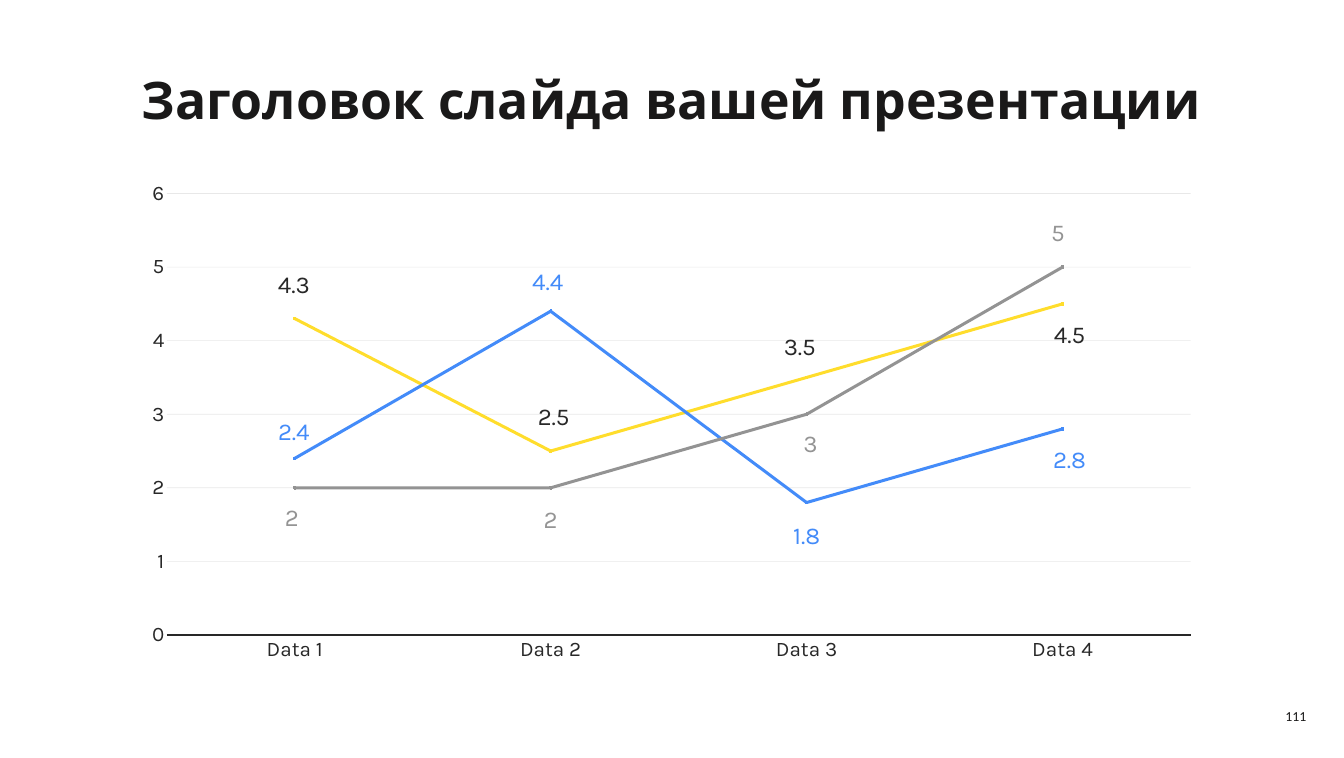
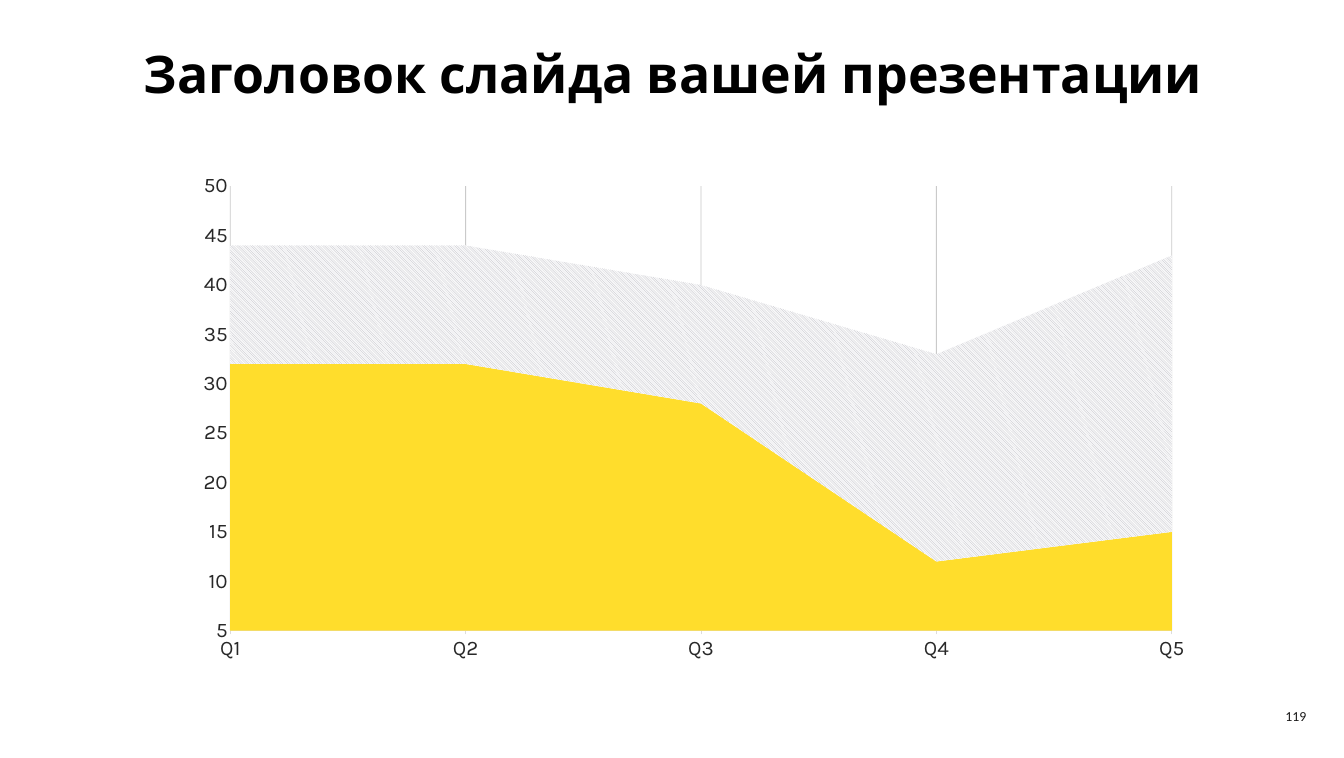
"""Two chart slides with a shared title style and page number."""
from lxml.etree import SubElement
from pptx import Presentation
from pptx.chart.data import CategoryChartData
from pptx.dml.color import RGBColor
from pptx.enum.chart import XL_CHART_TYPE, XL_LABEL_POSITION, XL_MARKER_STYLE, XL_TICK_MARK
from pptx.enum.dml import MSO_PATTERN
from pptx.enum.text import MSO_ANCHOR, MSO_AUTO_SIZE, PP_ALIGN
from pptx.oxml import parse_xml
from pptx.oxml.ns import nsdecls, qn
from pptx.util import Pt

COLORS = {
    "title": "1A1919", "black": "000000", "text": "282828", "yellow": "FFDD2C",
    "blue": "438BF9", "gray": "939393", "gray_label": "949494", "grid": "262626",
    "column_grid": "9B9B9B", "axis": "DDDCDC", "hatch": "B4B4BC", "white": "FFFFFF",
}
TITLE = "Заголовок слайда вашей презентации"
TITLE_FONT = {"name": "Karla", "size": Pt(60), "bold": True}
NUMBER_FONT = {"name": "Calibri", "size": Pt(16), "bold": False}
AXIS_FONT = {"name": "Karla", "size": Pt(24), "bold": False}
LABEL_FONT = {"name": "Karla", "size": Pt(28), "bold": False}
LINE_PLACE = (152, 199.5, 1255.5, 579)
AREA_PLACE = (212.5, 190, 1186, 587)
LINES = [
    ("Series 1", (4.3, 2.5, 3.5, 4.5), "yellow", "text",
     [(-1, -18), (3.5, -18), (-8, -14.5), (8, 15.5)]),
    ("Series 2", (2.4, 4.4, 1.8, 2.8), "blue", "blue",
     [(-1, -10), (-3.5, -13.5), (0, 19), (8, 15.5)]),
    ("Series 3", (2, 2, 3, 5), "gray", "gray_label",
     [(-3.5, 15.5), (0, 17), (4.5, 14.5), (-5.5, -18)]),
]
AREAS = [("Series 1", (32, 32, 28, 12, 15)), ("Series 2", (12, 12, 12, 21, 28))]


def rgb(color):
    return RGBColor.from_string(COLORS[color])


def apply_format(target, values):
    for name, value in values.items():
        setattr(target, name, value)


def format_font(font, values, color):
    apply_format(font, values)
    font.color.rgb = rgb(color)


def format_line(line, color, width):
    line.color.rgb = rgb(color)
    line.width = Pt(width)


def add_text(page, text, place, font, color, align, frame_format):
    box = page.shapes.add_textbox(*map(Pt, place))
    frame = box.text_frame
    frame.word_wrap = True
    apply_format(frame, frame_format)
    para = frame.paragraphs[0]
    para.alignment = align
    span = para.add_run()
    span.text = text
    format_font(span.font, font, color)


def add_title(page, place, color):
    add_text(page, TITLE, place, TITLE_FONT, color, PP_ALIGN.CENTER,
             {"auto_size": MSO_AUTO_SIZE.SHAPE_TO_FIT_TEXT})


def add_number(page, number):
    add_text(page, number, (1438.5, 813, 84, 34), NUMBER_FONT, "title", PP_ALIGN.RIGHT,
             {"vertical_anchor": MSO_ANCHOR.MIDDLE})


def make_layout(values):
    parts = "".join(f'<c:{name} val="{value}"/>' for name, value in values.items())
    return parse_xml(f'<c:layout {nsdecls("c")}><c:manualLayout>{parts}'
                     '</c:manualLayout></c:layout>')


def place_plot(chart, x, y, w, h):
    area = chart.element.xpath(".//c:plotArea")[0]
    for layout in area.findall(qn("c:layout")):
        area.remove(layout)
    area.insert(0, make_layout({"layoutTarget": "inner", "xMode": "edge", "yMode": "edge",
                                "x": x, "y": y, "w": w, "h": h}))


def add_chart(page, kind, place, categories, rows):
    data = CategoryChartData()
    data.categories = categories
    for name, values, *_ in rows:
        data.add_series(name, values)
    chart = page.shapes.add_chart(kind, *map(Pt, place), data).chart
    chart.has_legend = chart.has_title = False
    chart.plots[0].vary_by_categories = False
    format_font(chart.font, AXIS_FONT, "text")
    return chart


def format_axes(chart, line, tick, scale):
    category, value = chart.category_axis, chart.value_axis
    for axis in (category, value):
        axis.has_major_gridlines = False
        axis.major_tick_mark = axis.minor_tick_mark = XL_TICK_MARK.NONE
        format_font(axis.tick_labels.font, AXIS_FONT, "text")
    category.major_tick_mark = tick
    format_line(category.format.line, *line)
    value.format.line.fill.background()
    apply_format(value, scale)


def add_grid(chart, axis, color, width, opacity):
    axis.has_major_gridlines = True
    format_line(axis.major_gridlines.format.line, color, width)
    shade = chart.element.xpath(".//c:majorGridlines//a:srgbClr")[0]
    SubElement(shade, qn("a:alpha")).set("val", str(opacity * 1000))


def add_point_labels(chart, series, color, shifts):
    format_font(series.data_labels.font, LABEL_FONT, color)
    series.data_labels.show_value = True
    for index, (right, down) in enumerate(shifts):
        label = series.points[index].data_label
        format_font(label.font, LABEL_FONT, color)
        label.position = XL_LABEL_POSITION.BELOW if down > 0 else XL_LABEL_POSITION.ABOVE
        entry = chart.element.xpath(
            f".//c:ser[c:idx/@val='{series.index}']//c:dLbl[c:idx/@val='{index}']")[0]
        entry.insert(1, make_layout({"x": right / LINE_PLACE[2], "y": down / LINE_PLACE[3]}))


def hide_leader_lines(chart):
    for leader in chart.element.xpath(".//c:showLeaderLines"):
        leader.set("val", "0")


def format_series(series, color):
    series.smooth = False
    format_line(series.format.line, color, 3.5)
    marker = series.marker
    marker.style, marker.size = XL_MARKER_STYLE.CIRCLE, 3
    marker.format.fill.solid()
    marker.format.fill.fore_color.rgb = rgb(color)
    marker.format.line.fill.background()


def add_line_chart(page):
    chart = add_chart(page, XL_CHART_TYPE.LINE_MARKERS, LINE_PLACE,
                      [f"Data {number}" for number in range(1, 5)], LINES)
    format_axes(chart, ("text", 1.5), XL_TICK_MARK.NONE,
                {"minimum_scale": 0, "maximum_scale": 6, "major_unit": 1})
    add_grid(chart, chart.value_axis, "grid", 0.75, 10)
    place_plot(chart, 0.033, 0.043, 0.946, 0.884)
    for series, (_, _, color, label_color, shifts) in zip(chart.plots[0].series, LINES):
        format_series(series, color)
        add_point_labels(chart, series, label_color, shifts)
    hide_leader_lines(chart)


def add_area_chart(page):
    chart = add_chart(page, XL_CHART_TYPE.AREA_STACKED, AREA_PLACE,
                      [f"Q{number}" for number in range(1, 6)], AREAS)
    format_axes(chart, ("axis", 0.75), XL_TICK_MARK.OUTSIDE,
                {"minimum_scale": 5, "maximum_scale": 50, "major_unit": 5})
    add_grid(chart, chart.category_axis, "column_grid", 1, 52)
    place_plot(chart, 0.046, 0.044, 0.921, 0.878)
    for crossing in chart.element.xpath(".//c:valAx/c:crossBetween"):
        crossing.set("val", "midCat")
    solid, hatched = (series.format.fill for series in chart.plots[0].series)
    solid.solid()
    solid.fore_color.rgb = rgb("yellow")
    hatched.patterned()
    hatched.pattern = MSO_PATTERN.LIGHT_DOWNWARD_DIAGONAL
    hatched.fore_color.rgb = rgb("hatch")
    hatched.back_color.rgb = rgb("white")


def add_page(deck, draw_chart, title_place, title_color, number):
    page = deck.slides.add_slide(deck.slide_layouts[6])
    draw_chart(page)
    add_title(page, title_place, title_color)
    add_number(page, number)


def main():
    deck = Presentation()
    deck.slide_width = Pt(1559.06)
    deck.slide_height = Pt(878.74)
    add_page(deck, add_line_chart, (104.5, 75, 1349, 80), "title", "111")
    add_page(deck, add_area_chart, (107.5, 44.5, 1347, 80), "black", "119")
    deck.save("out.pptx")


if __name__ == "__main__":
    main()
